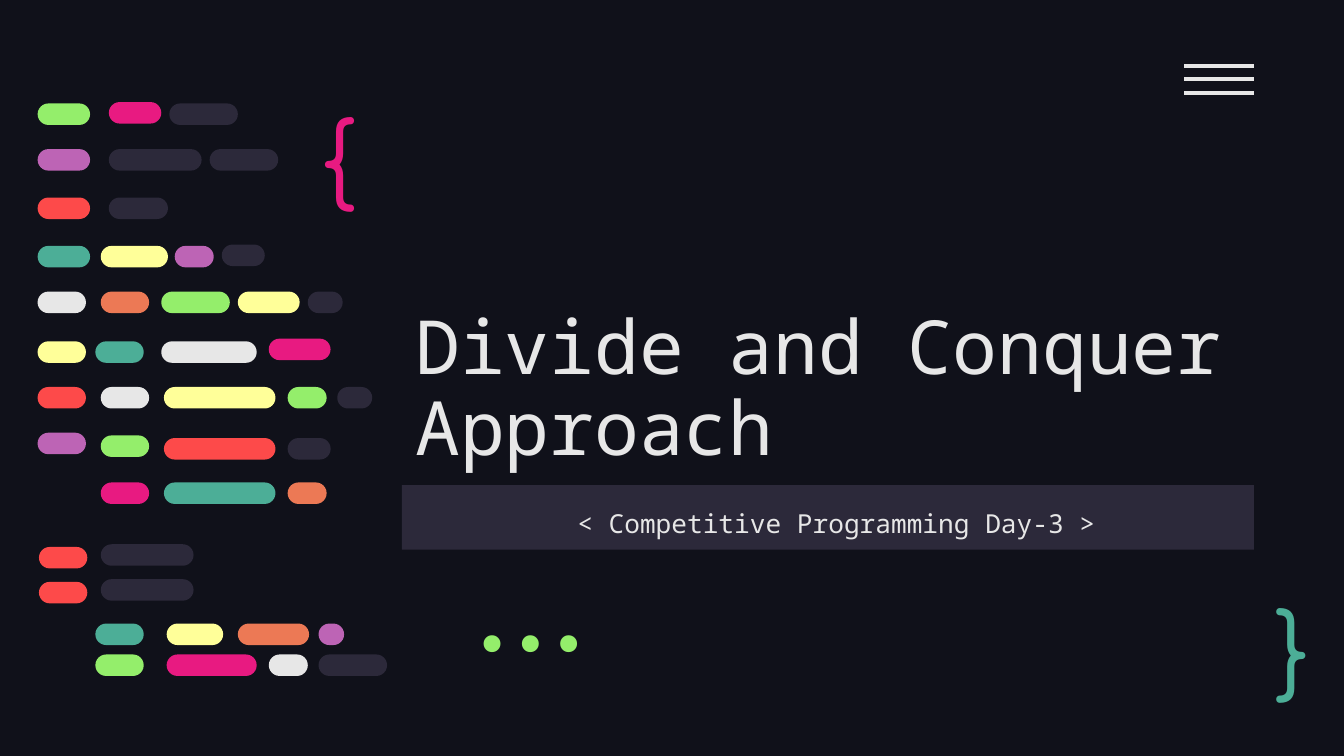
from dataclasses import dataclass

from lxml.etree import SubElement
from pptx import Presentation
from pptx.dml.color import RGBColor
from pptx.enum.shapes import MSO_CONNECTOR as Connector, MSO_SHAPE as Preset
from pptx.enum.text import MSO_ANCHOR as Anchor, MSO_AUTO_SIZE as AutoSize, PP_ALIGN as Align
from pptx.oxml.ns import qn
from pptx.shapes.base import BaseShape
from pptx.shapes.shapetree import GroupShapes
from pptx.util import Inches, Pt

# A 16:9 slide on a grid of 1000 columns, with square cells.
COLUMNS, ROWS = 1000, 1000 * 9 / 16
WIDTH = Inches(10)
HEIGHT = WIDTH * 9 // 16

BACKGROUND, PANEL, LIGHT = "10111A", "2C293A", "E7E7E7"
GREEN, PINK, PURPLE, RED = "94EE6B", "E81A81", "BD64B5", "FD4A4A"
TEAL, YELLOW, ORANGE = "4CAE97", "FFFF99", "EC7955"
MONO = "Noto Sans Mono"
PILL_HEIGHT = 16


@dataclass(frozen=True)
class Box:
    """A place on the grid, in columns and rows."""
    left: float
    top: float
    width: float
    height: float

    def emu(self) -> tuple[int, int, int, int]:
        return (column(self.left), row(self.top), column(self.width), row(self.height))


@dataclass(frozen=True)
class TextStyle:
    font: str
    size: float
    color: str
    align: Align = Align.LEFT
    anchor: Anchor = Anchor.TOP
    line_spacing: float = 1.0


@dataclass(frozen=True)
class Pill:
    """A token of the code; shift moves it down from its line."""
    left: float
    width: float
    color: str
    shift: float = 0


@dataclass(frozen=True)
class CodeLine:
    top: float
    pills: tuple[Pill, ...]


@dataclass(frozen=True)
class Symbol:
    text: str
    box: Box
    style: TextStyle


CODE_LINES = (
    CodeLine(77, (Pill(28, 39, GREEN), Pill(81, 39, PINK, -1), Pill(126, 51, PANEL))),
    CodeLine(111, (Pill(28, 39, PURPLE), Pill(81, 69, PANEL), Pill(156, 51, PANEL))),
    CodeLine(147, (Pill(28, 39, RED), Pill(81, 44, PANEL))),
    CodeLine(183, (Pill(28, 39, TEAL), Pill(75, 50, YELLOW), Pill(130, 29, PURPLE),
                   Pill(165, 32, PANEL, -1))),
    CodeLine(217, (Pill(28, 36, LIGHT), Pill(75, 36, ORANGE), Pill(120, 51, GREEN),
                   Pill(177, 46, YELLOW), Pill(229, 26, PANEL))),
    CodeLine(254, (Pill(28, 36, YELLOW), Pill(71, 36, TEAL), Pill(120, 71, LIGHT),
                   Pill(200, 46, PINK, -2))),
    CodeLine(288, (Pill(28, 36, RED), Pill(75, 36, LIGHT), Pill(122, 83, YELLOW),
                   Pill(214, 29, GREEN), Pill(251, 26, PANEL))),
    CodeLine(322, (Pill(28, 36, PURPLE), Pill(75, 36, GREEN, 2), Pill(122, 83, RED, 4),
                   Pill(214, 32, PANEL, 4))),
    CodeLine(359, (Pill(75, 36, PINK), Pill(122, 83, TEAL), Pill(214, 29, ORANGE))),
    CodeLine(407, (Pill(29, 36, RED), Pill(75, 69, PANEL, -2))),
    CodeLine(433, (Pill(29, 36, RED), Pill(75, 69, PANEL, -2))),
    CodeLine(464, (Pill(71, 36, TEAL), Pill(124, 42, YELLOW), Pill(177, 53, ORANGE),
                   Pill(237, 19, PURPLE))),
    CodeLine(487, (Pill(71, 36, GREEN), Pill(124, 67, PINK), Pill(200, 29, LIGHT),
                   Pill(237, 51, PANEL))),
)

SYMBOLS = (
    Symbol("{", Box(229, 62, 77, 95), TextStyle("Comfortaa", 50, PINK)),
    Symbol("}", Box(939, 438, 57, 83),
           TextStyle("Comfortaa", 50, TEAL, anchor=Anchor.MIDDLE)),
    Symbol("...", Box(311, 449, 158, 60),
           TextStyle("Fira Code", 50, GREEN, Align.RIGHT, Anchor.BOTTOM)),
)


def column(count: float) -> int:
    return round(WIDTH * count / COLUMNS)


def row(count: float) -> int:
    return round(HEIGHT * count / ROWS)


def rgb(color: str) -> RGBColor:
    return RGBColor.from_string(color)


def write(shape: BaseShape, text: str, style: TextStyle) -> None:
    frame = shape.text_frame
    frame.text = text
    frame.word_wrap = True
    frame.auto_size = AutoSize.NONE
    frame.vertical_anchor = style.anchor
    frame.margin_left = frame.margin_right = Inches(0.1)
    frame.margin_top = frame.margin_bottom = Inches(0.1)
    for paragraph in frame.paragraphs:
        paragraph.alignment = style.align
        paragraph.line_spacing = style.line_spacing
        for run in paragraph.runs:
            run.font.name = style.font
            run.font.size = Pt(style.size)
            run.font.color.rgb = rgb(style.color)


def add_filled(shapes: GroupShapes, preset: Preset, box: Box, color: str) -> BaseShape:
    shape = shapes.add_shape(preset, *box.emu())
    shape.shadow.inherit = False
    shape.fill.solid()
    shape.fill.fore_color.rgb = rgb(color)
    shape.line.fill.background()
    return shape


def add_code_line(shapes: GroupShapes, line: CodeLine) -> None:
    for pill in line.pills:
        box = Box(pill.left, line.top + pill.shift, pill.width, PILL_HEIGHT)
        shape = add_filled(shapes, Preset.ROUNDED_RECTANGLE, box, pill.color)
        shape.adjustments[0] = 0.5


def add_menu_bar(shapes: GroupShapes, top: float) -> None:
    bar = shapes.add_connector(Connector.STRAIGHT, column(881), row(top), column(933), row(top))
    bar.line.color.rgb = rgb(LIGHT)
    bar.line.width = Pt(2.25)
    SubElement(bar._element.spPr, qn("a:effectLst"))


def main() -> None:
    presentation = Presentation()
    presentation.slide_width, presentation.slide_height = WIDTH, HEIGHT
    slide = presentation.slides.add_slide(presentation.slide_layouts[5])
    slide.background.fill.solid()
    slide.background.fill.fore_color.rgb = rgb(BACKGROUND)

    title = slide.shapes.title
    title.left, title.top, title.width, title.height = Box(299, 138, 634, 223).emu()
    write(title, "Divide and Conquer Approach",
          TextStyle(MONO, 40, LIGHT, anchor=Anchor.BOTTOM, line_spacing=0.9))

    subtitle = add_filled(slide.shapes, Preset.RECTANGLE, Box(299, 361, 634, 48), PANEL)
    write(subtitle, "< Competitive Programming Day-3 >",
          TextStyle(MONO, 14, LIGHT, Align.CENTER, line_spacing=1.15))
    subtitle.text_frame.margin_left = Inches(0.23)
    subtitle.text_frame.margin_top = Inches(0.13)

    for symbol in SYMBOLS:
        write(slide.shapes.add_textbox(*symbol.box.emu()), symbol.text, symbol.style)

    menu = slide.shapes.add_group_shape()
    for index in range(3):
        add_menu_bar(menu.shapes, 49 + 10 * index)

    code = slide.shapes.add_group_shape()
    for line in CODE_LINES:
        add_code_line(code.shapes, line)

    presentation.save("out.pptx")


if __name__ == "__main__":
    main()
